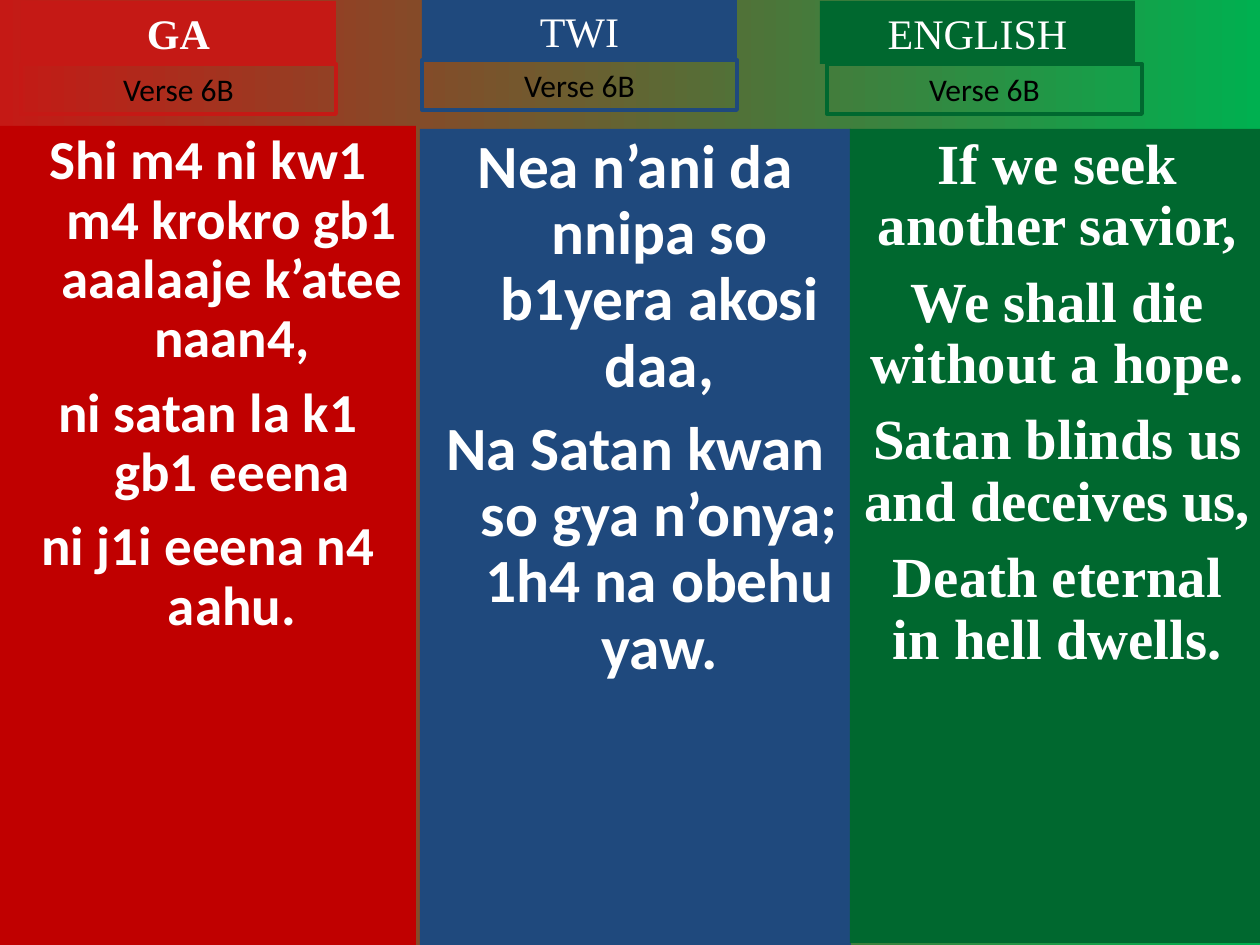
import pptx
import pptx.util
import pptx.dml.color
import pptx.enum.shapes
import pptx.enum.text

PX = 914400 / 126
SLIDE_W, SLIDE_H = 1260, 945
BACKGROUND = ("C51915", "00B050")
WHITE, BLACK = "FFFFFF", "000000"
SANS, SERIF = "Calibri", "Times New Roman"
VERSE = "Verse 6B"
LABEL_W, TITLE_H, VERSE_H = 315, 63, 50
HANG = 48

# Boxes are (left, top, width, height); label positions are (left, top).
COLUMNS = [
    dict(title="GA", title_bold=True, title_at=(21, 1), verse_at=(21, 64),
         accent="C51915", fill="C00000", box=(0, 126, 416, 819),
         font=SANS, size=31.4, before=8.5, hang=HANG,
         lines=["Shi m4 ni kw1 m4 krokro gb1 aaalaaje k’atee naan4,",
                "ni satan la k1 gb1 eeena",
                "ni j1i eeena n4 aahu."]),
    dict(title="TWI", title_bold=False, title_at=(422, -1), verse_at=(422, 60),
         accent="1F497D", fill="1F497D", box=(420, 129, 431, 816),
         font=SANS, size=35.1, before=9.5, hang=HANG,
         lines=["Nea n’ani da nnipa so b1yera akosi daa,",
                "Na Satan kwan so gya n’onya; 1h4 na obehu yaw."]),
    dict(title="ENGLISH", title_bold=False, title_at=(820, 1), verse_at=(827, 64),
         accent="00682F", fill="00682F", box=(850, 129, 415, 814),
         font=SERIF, size=32.4, before=8.8, hang=0,
         lines=["If we seek another savior,",
                "We shall die without a hope.",
                "Satan blinds us and deceives us,",
                "Death eternal in hell dwells."]),
]


def px(n):
    return pptx.util.Emu(round(n * PX))


def rgb(value):
    return pptx.dml.color.RGBColor.from_string(value)


def add_box(slide, box, lines, font, color, fill=None, line=None, spacing=None, hang=0):
    """Add a rectangle of centred paragraphs; spacing holds paragraph formats."""
    sp = slide.shapes.add_shape(pptx.enum.shapes.MSO_SHAPE.RECTANGLE, *map(px, box))
    sp.shadow.inherit = False
    if fill:
        sp.fill.solid()
        sp.fill.fore_color.rgb = rgb(fill)
    else:
        sp.fill.background()
    if line:
        sp.line.color.rgb = rgb(line)
        sp.line.width = pptx.util.Pt(2.25)
    else:
        sp.line.fill.background()
    tf = sp.text_frame
    tf.word_wrap = True
    tf.vertical_anchor = pptx.enum.text.MSO_ANCHOR.TOP
    for i, text in enumerate(lines):
        p = tf.paragraphs[0] if i == 0 else tf.add_paragraph()
        p.alignment = pptx.enum.text.PP_ALIGN.CENTER
        for name, value in (spacing or {}).items():
            if i > 0 or name != "space_before":
                setattr(p, name, value)
        if hang:
            pPr = p._p.get_or_add_pPr()
            pPr.set("marL", str(px(hang)))
            pPr.set("indent", str(-px(hang)))
        r = p.add_run()
        r.text = text
        for name, value in font.items():
            setattr(r.font, name, value)
        r.font.color.rgb = rgb(color)


def add_column(slide, col):
    pt = pptx.util.Pt
    add_box(slide, col["box"], col["lines"],
            dict(name=col["font"], size=pt(col["size"]), bold=True), WHITE,
            fill=col["fill"], hang=col["hang"],
            spacing=dict(line_spacing=0.9, space_before=pt(col["before"])))
    add_box(slide, (*col["title_at"], LABEL_W, TITLE_H), [col["title"]],
            dict(name=SERIF, size=pt(24), bold=col["title_bold"]), WHITE,
            fill=col["accent"])
    add_box(slide, (*col["verse_at"], LABEL_W, VERSE_H), [VERSE],
            dict(name=SANS, size=pt(18)), BLACK, line=col["accent"])


def main():
    prs = pptx.Presentation()
    prs.slide_width, prs.slide_height = px(SLIDE_W), px(SLIDE_H)
    s = prs.slides.add_slide(prs.slide_layouts[6])
    fill = s.background.fill
    fill.gradient()
    fill.gradient_angle = 0
    for stop, color, position in zip(fill.gradient_stops, BACKGROUND, (0, 1)):
        stop.color.rgb = rgb(color)
        stop.position = position
    for col in COLUMNS:
        add_column(s, col)
    prs.save("out.pptx")


if __name__ == "__main__":
    main()
